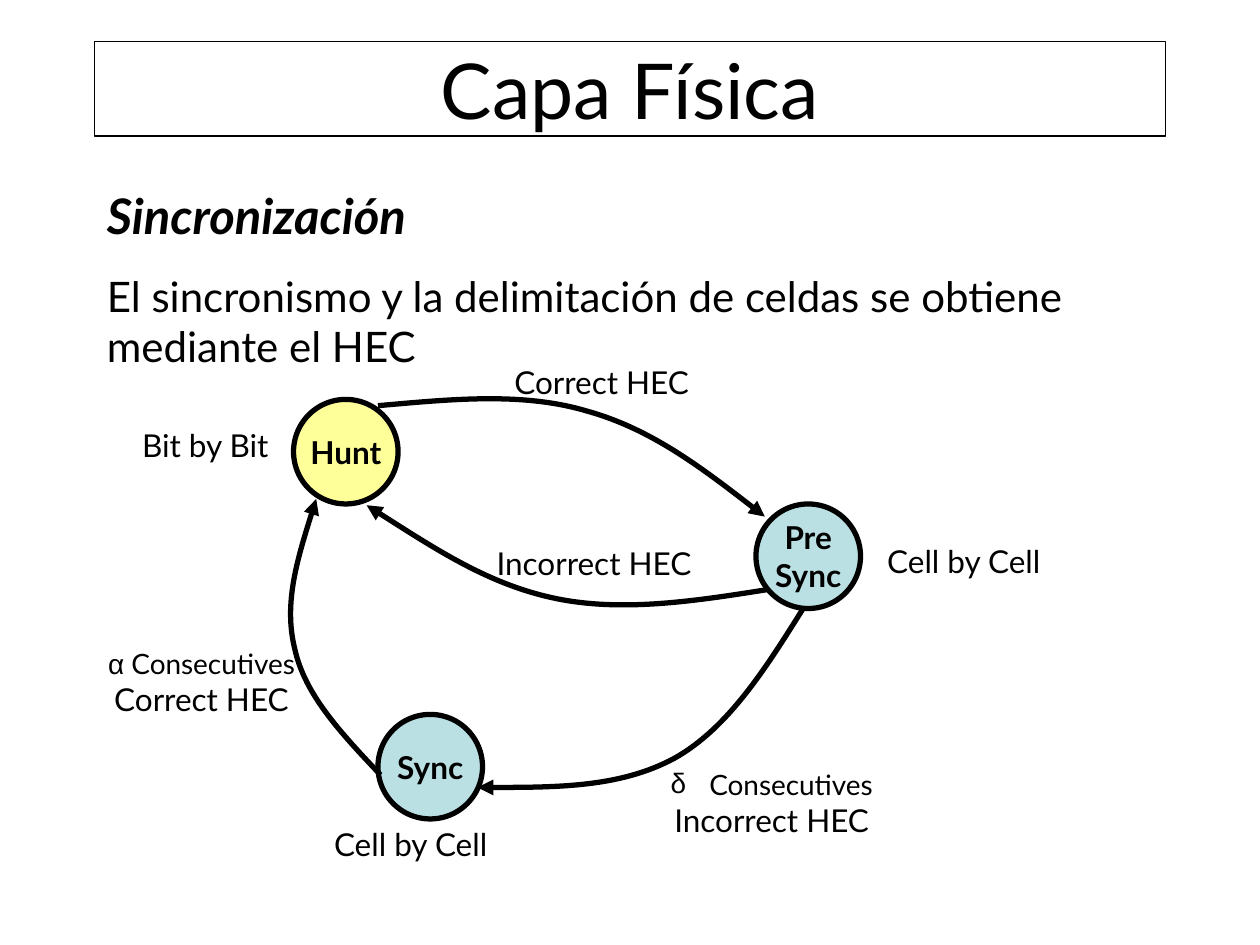
from lxml import etree
from pptx import Presentation
from pptx.dml.color import RGBColor
from pptx.enum.shapes import MSO_SHAPE
from pptx.enum.text import MSO_ANCHOR, PP_ALIGN
from pptx.oxml.ns import qn
from pptx.util import Inches, Pt

BLACK = RGBColor(0x00, 0x00, 0x00)
YELLOW = RGBColor(0xFF, 0xFF, 0x99)
TEAL = RGBColor(0xBB, 0xE0, 0xE3)
OVAL, RECT = MSO_SHAPE.OVAL, MSO_SHAPE.RECTANGLE
MIDDLE = MSO_ANCHOR.MIDDLE
LEFT, CENTER = PP_ALIGN.LEFT, PP_ALIGN.CENTER


class StateDiagram:
    """Holds the slide and the style of a state diagram."""

    font = "Lato"
    symbol_font = "Arial"
    diameter = 0.83
    line_width = 3

    def __init__(self, slide):
        self.s = slide

    def style_run(self, r, size, bold=False, font=None):
        r.font.name = font or self.font
        r.font.size = Pt(size)
        r.font.bold = bold
        r.font.color.rgb = BLACK

    def fill_text(self, sp, text, size, bold=False, align=CENTER, wrap=False):
        tf = sp.text_frame
        tf.text = text
        tf.word_wrap = wrap
        for p in tf.paragraphs:
            p.alignment = align
            for r in p.runs:
                self.style_run(r, size, bold)
        return tf

    def outlined(self, sp, width, fill=None):
        sp.shadow.inherit = False
        sp.line.color.rgb = BLACK
        sp.line.width = Pt(width)
        if fill is None:
            sp.fill.background()
        else:
            sp.fill.solid()
            sp.fill.fore_color.rgb = fill

    def title(self, text, x, y, w, h):
        sp = self.s.shapes.add_shape(RECT, Inches(x), Inches(y), Inches(w), Inches(h))
        self.outlined(sp, 0.75)
        self.fill_text(sp, text, 44, wrap=True).vertical_anchor = MIDDLE

    def body(self, heading, text, x, y, w, h):
        sp = self.s.shapes.add_textbox(Inches(x), Inches(y), Inches(w), Inches(h))
        tf = self.fill_text(sp, f"{heading}\n{text}", 24, align=LEFT, wrap=True)
        first, second = tf.paragraphs
        first.space_before, second.space_before = Pt(17.5), Pt(15)
        self.style_run(first.runs[0], 28, bold=True)
        first.runs[0].font.italic = True

    def state(self, text, x, y, fill):
        d = Inches(self.diameter)
        sp = self.s.shapes.add_shape(OVAL, Inches(x), Inches(y), d, d)
        self.outlined(sp, self.line_width, fill)
        self.fill_text(sp, text, 18, bold=True).vertical_anchor = MIDDLE

    def label(self, text, x, y, w, h=0.4):
        sp = self.s.shapes.add_textbox(Inches(x), Inches(y), Inches(w), Inches(h))
        return self.fill_text(sp, text, 18)

    def counted_label(self, symbol, text, x, y, w, bullet=False):
        tf = self.label(f" Consecutives\n{text}", x, y, w, 0.67)
        p = tf.paragraphs[0]
        self.style_run(p.runs[0], 16)
        if bullet:
            pPr = p._p.get_or_add_pPr()
            pPr.set("marL", str(Inches(0.25)))
            pPr.set("indent", str(-Inches(0.25)))
            etree.SubElement(pPr, qn("a:buFont")).set("typeface", self.symbol_font)
            etree.SubElement(pPr, qn("a:buChar")).set("char", symbol)
        else:
            p.runs[0].text = symbol
            self.style_run(p.runs[0], 16, font=self.symbol_font)
            r = p.add_run()
            r.text = " Consecutives"
            self.style_run(r, 16)

    def transition(self, *points):
        start, *rest = [(Inches(x), Inches(y)) for x, y in points]
        builder = self.s.shapes.build_freeform(*start)
        builder.add_line_segments(rest, close=False)
        sp = builder.convert_to_shape()
        self.outlined(sp, self.line_width)
        route = next(sp._element.iter(qn("a:path")))
        segments = route.findall(qn("a:lnTo"))
        for i in range(0, len(segments), 3):
            curve = etree.SubElement(route, qn("a:cubicBezTo"))
            for segment in segments[i:i + 3]:
                curve.append(segment[0])
                route.remove(segment)
        ln = sp.line._get_or_add_ln()
        etree.SubElement(ln, qn("a:round"))
        etree.SubElement(ln, qn("a:tailEnd")).set("type", "triangle")


def main():
    prs = Presentation()
    prs.slide_width, prs.slide_height = Inches(10), Inches(7.5)
    d = StateDiagram(prs.slides.add_slide(prs.slide_layouts[6]))

    d.state("Sync", 3, 5.67, TEAL)
    d.title("Capa Física", 0.75, 0.33, 8.5, 0.75)
    d.body("Sincronización",
           "El sincronismo y la delimitación de celdas se obtiene mediante el HEC",
           0.75, 1.42, 8.5, 1.58)
    d.transition((3, 3.22), (3.57, 3.17), (4.14, 3.11), (4.65, 3.26),
                 (5.16, 3.4), (5.62, 3.75), (6.07, 4.1))
    d.transition((6.38, 4.82), (6.08, 5.3), (5.78, 5.78), (5.35, 6.02),
                 (4.92, 6.25), (4.35, 6.25), (3.79, 6.25))
    d.state("Pre\nSync", 6, 4, TEAL)
    d.label("Cell by Cell", 6.92, 4.25, 1.46)
    d.state("Hunt", 2.33, 3.17, YELLOW)
    d.transition((6.09, 4.68), (5.52, 4.77), (4.94, 4.86), (4.41, 4.75),
                 (3.88, 4.64), (3.4, 4.32), (2.91, 4.01))
    d.transition((3.02, 6.15), (2.72, 5.83), (2.42, 5.52), (2.34, 5.15),
                 (2.25, 4.79), (2.38, 4.37), (2.51, 3.96))
    d.label("Bit by Bit", 1.01, 3.33, 1.24)
    d.label("Correct HEC", 3.97, 2.83, 1.61)
    d.label("Incorrect HEC", 3.81, 4.27, 1.81)
    d.counted_label("δ", "Incorrect HEC", 5.22, 6.04, 1.81, bullet=True)
    d.counted_label("α", "Correct HEC", 0.72, 5.08, 1.76)
    d.label("Cell by Cell", 2.53, 6.5, 1.46)

    prs.save("out.pptx")


if __name__ == "__main__":
    main()
